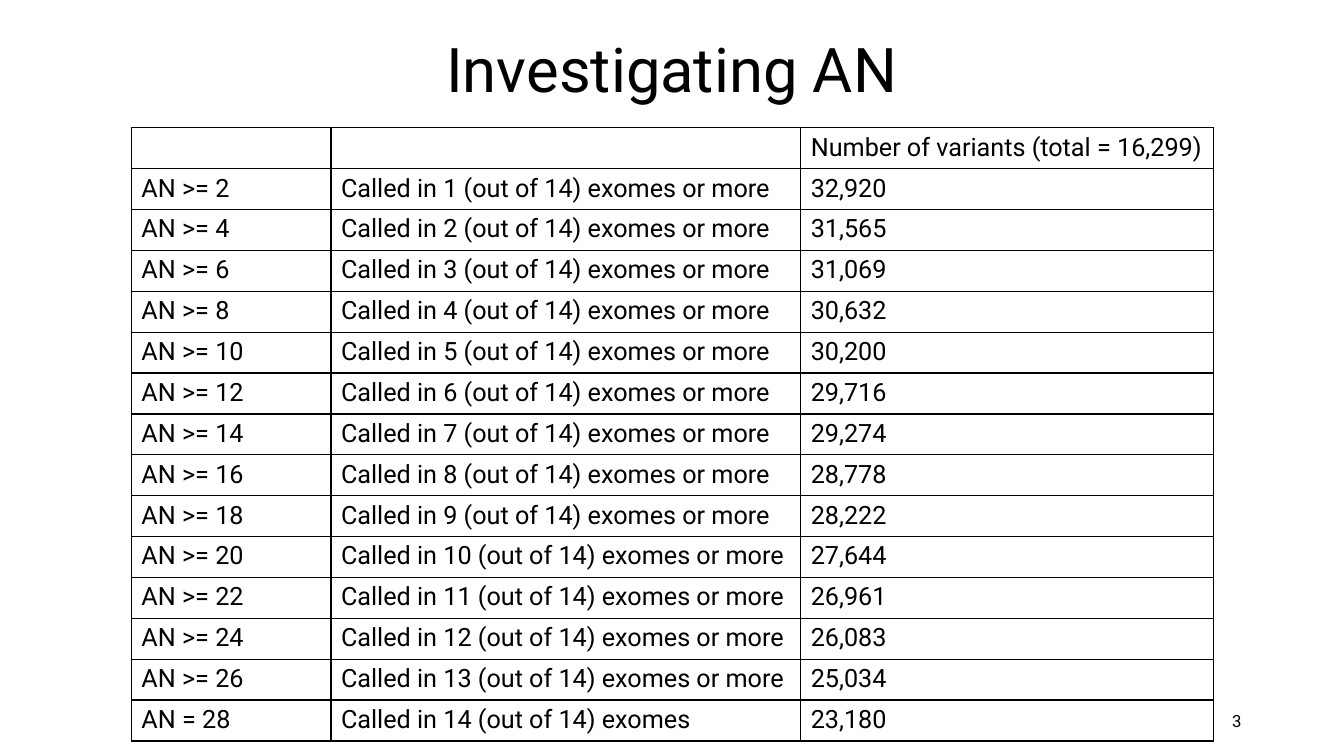
from dataclasses import dataclass

from lxml import etree
from pptx import Presentation
from pptx.dml.color import RGBColor
from pptx.enum.text import MSO_ANCHOR, PP_ALIGN
from pptx.oxml.ns import qn
from pptx.util import Cm, Pt

MIDDLE = MSO_ANCHOR.MIDDLE
CENTER = PP_ALIGN.CENTER
RIGHT = PP_ALIGN.RIGHT

COLORS = {"text": "000000", "border": "000000", "background": "FFFFFF"}
FONT = "Roboto"
TITLE_ONLY = 5
EXOMES = 14
COLUMN_WIDTHS = (5.03, 11.84, 10.4)
ROW_HEIGHT = 1.03
HEADER = ("", "", "Number of variants (total = 16,299)")
VARIANT_COUNTS = (
    32920, 31565, 31069, 30632, 30200, 29716, 29274,
    28778, 28222, 27644, 26961, 26083, 25034, 23180,
)


@dataclass(frozen=True)
class Label:
    text: str
    left: float
    top: float
    width: float
    height: float
    size: int
    align: PP_ALIGN


TITLE = Label("Investigating AN", 2.33, 0, 29.21, 3.68, 44, CENTER)
PAGE_NUMBER = Label("3", 23.92, 17.65, 7.62, 1.01, 12, RIGHT)


def style_font(font, size: int) -> None:
    font.name = FONT
    font.size = Pt(size)
    font.bold = False
    font.color.rgb = RGBColor.from_string(COLORS["text"])


def fill_label(shape, label: Label) -> None:
    shape.left, shape.top = Cm(label.left), Cm(label.top)
    shape.width, shape.height = Cm(label.width), Cm(label.height)
    frame = shape.text_frame
    frame.text = label.text
    frame.word_wrap = True
    frame.vertical_anchor = MIDDLE
    para = frame.paragraphs[0]
    para.alignment = label.align
    style_font(para.runs[0].font, label.size)


def add_borders(cell) -> None:
    properties = cell._tc.get_or_add_tcPr()
    for side in ("lnL", "lnR", "lnT", "lnB"):
        line = etree.SubElement(properties, qn(f"a:{side}"), w=str(Pt(1)))
        fill = etree.SubElement(line, qn("a:solidFill"))
        etree.SubElement(fill, qn("a:srgbClr"), val=COLORS["border"])


def variant_row(called: int, count: int) -> tuple[str, str, str]:
    everyone = called == EXOMES
    sign = "=" if everyone else ">="
    suffix = "" if everyone else " or more"
    return (
        f"AN {sign} {2 * called}",
        f"Called in {called} (out of {EXOMES}) exomes{suffix}",
        f"{count:,}",
    )


def add_variant_table(page, left: float, top: float) -> None:
    rows = [HEADER]
    rows += [variant_row(called, count) for called, count in enumerate(VARIANT_COUNTS, 1)]
    table = page.shapes.add_table(
        len(rows), len(COLUMN_WIDTHS), Cm(left), Cm(top),
        Cm(sum(COLUMN_WIDTHS)), Cm(ROW_HEIGHT * len(rows)),
    ).table
    table.first_row = False
    table.horz_banding = False
    for column, width in zip(table.columns, COLUMN_WIDTHS):
        column.width = Cm(width)
    for table_row, texts in zip(table.rows, rows):
        table_row.height = Cm(ROW_HEIGHT)
        for cell, text in zip(table_row.cells, texts):
            add_borders(cell)
            cell.fill.background()
            cell.text = text
            for span in cell.text_frame.paragraphs[0].runs:
                style_font(span.font, 18)


deck = Presentation()
deck.slide_width, deck.slide_height = Cm(33.87), Cm(19.05)
page = deck.slides.add_slide(deck.slide_layouts[TITLE_ONLY])
page.background.fill.solid()
page.background.fill.fore_color.rgb = RGBColor.from_string(COLORS["background"])

title = page.shapes.title
fill_label(title, TITLE)
title.text_frame.paragraphs[0].line_spacing = 0.9
fill_label(page.shapes.add_textbox(0, 0, 0, 0), PAGE_NUMBER)
add_variant_table(page, 3.31, 3.22)

deck.save("out.pptx")
